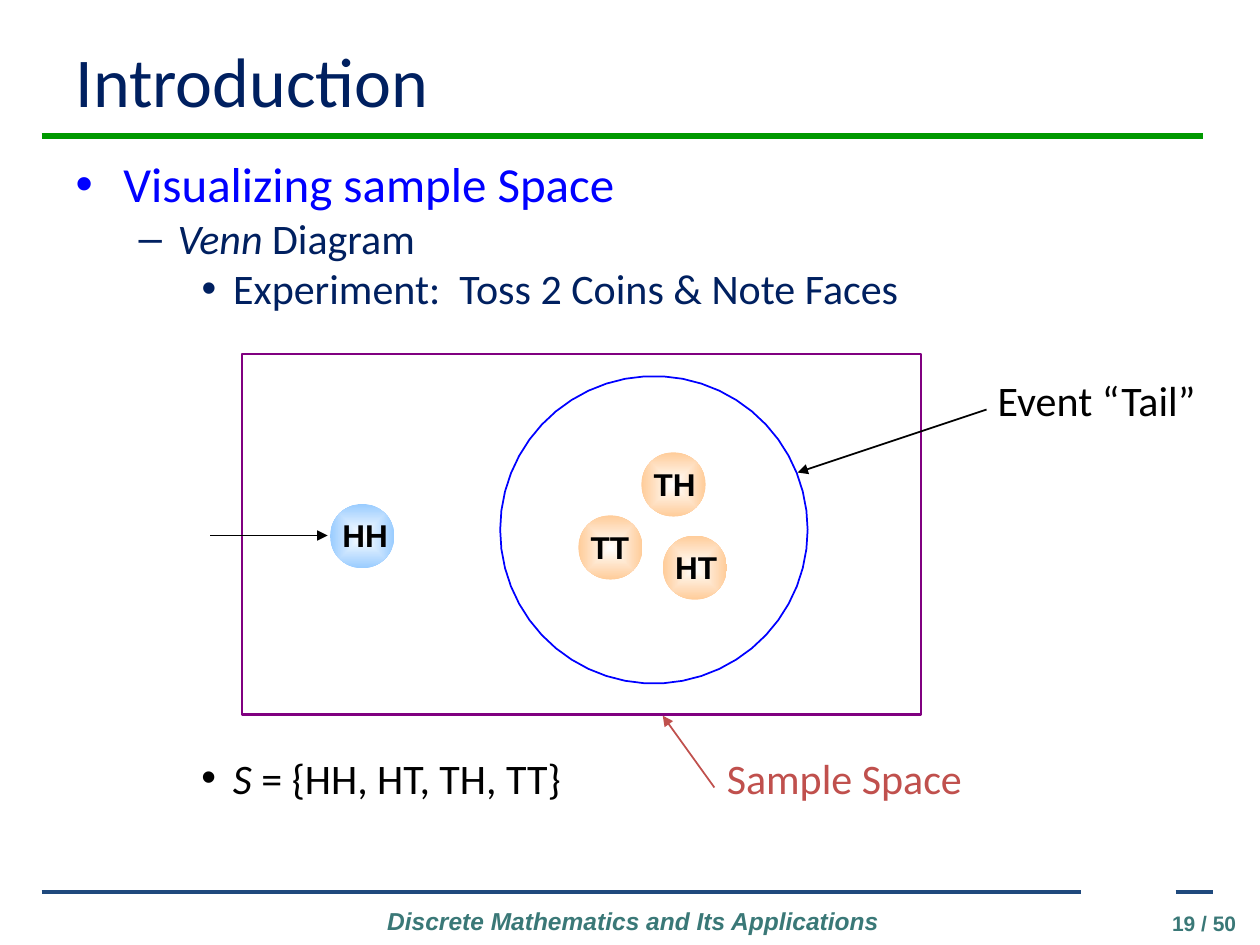
import math
from lxml import etree
from pptx import Presentation
from pptx.dml.color import RGBColor
from pptx.enum.shapes import MSO_CONNECTOR, MSO_SHAPE
from pptx.enum.text import MSO_ANCHOR, MSO_AUTO_SIZE, PP_ALIGN
from pptx.oxml.ns import qn
from pptx.util import Inches, Pt

STRAIGHT = MSO_CONNECTOR.STRAIGHT
RECTANGLE, OVAL = MSO_SHAPE.RECTANGLE, MSO_SHAPE.OVAL
LEFT, CENTER, RIGHT = PP_ALIGN.LEFT, PP_ALIGN.CENTER, PP_ALIGN.RIGHT
TOP, MIDDLE = MSO_ANCHOR.TOP, MSO_ANCHOR.MIDDLE
NO_AUTOSIZE = MSO_AUTO_SIZE.NONE

COLUMNS, ROWS = 100, 75
WIDTH, HEIGHT = Inches(10), Inches(7.5)
NAVY, BLUE, BLACK, RED = "002060", "0000FF", "000000", "C0504D"
GREEN, SLATE, TEAL, PURPLE = "009900", "1F497D", "3A7877", "800080"
ORANGE, SKY, WHITE = "FFCC99", "99CCFF", "FFFFFF"

LEVELS = [("•", 0.38, 0.38), ("–", 0.81, 0.31), ("•", 1.25, 0.25)]
TITLE = [dict(runs=[("Introduction", False)])]
OUTLINE = [
    dict(runs=[("Visualizing sample Space", False)], level=0, size=28, color=BLUE),
    dict(runs=[("Venn", True), (" Diagram", False)], level=1),
    dict(runs=[("Experiment:  Toss 2 Coins & Note Faces", False)], level=2),
]
SAMPLE_SET = [dict(runs=[("S", True), (" = {HH, HT, TH, TT}", False)], level=2)]

RULES = [
    (3.3, 95.5, 10.8, GREEN, 3),
    (3.3, 85.8, 70.8, SLATE, 2.25),
    (93.3, 96.3, 70.8, SLATE, 2.25),
]
ARROWS = [
    ((78.3, 32.5), (63.3, 37.5), BLACK),
    ((56.7, 62.5), (52.6, 56.8), RED),
    ((16.7, 42.5), (26, 42.5), BLACK),
]
LABELS = [
    ("Sample Space", (56.7, 59.2, 25.9, 5), dict(color=RED)),
    ("Event “Tail”", (78.2, 29.2, 18.4, 5), dict(color=BLACK, anchor=MIDDLE)),
    ("Discrete Mathematics and Its Applications", (28.3, 71.4, 43.9, 3.4),
     dict(size=14, font="Arial", color=TEAL, bold=True, italic=True, align=CENTER)),
    ("19 / 50", (88.9, 71.8, 10.2, 2.4),
     dict(size=12, font="Arial", color=TEAL, bold=True, align=RIGHT)),
]
OUTCOMES = [
    ("TH", 50.9, 35.9, ORANGE),
    ("HT", 52.6, 42.5, ORANGE),
    ("TT", 45.9, 40.9, ORANGE),
    ("HH", 26.2, 40, SKY),
]
COIN_SIZE = 5.1
EVENT_CENTER, EVENT_RADIUS, EVENT_SIDES = (51.9, 42.05), 12.2, 50


def rgb(color):
    return RGBColor.from_string(color)


def across(columns):
    return round(WIDTH * columns / COLUMNS)


def down(rows):
    return round(HEIGHT * rows / ROWS)


def box(left, top, width, height):
    return across(left), down(top), across(width), down(height)


def add_bullet(paragraph, level, color):
    mark, margin, hanging = LEVELS[level]
    paragraph.level = level
    properties = paragraph._p.get_or_add_pPr()
    properties.set("marL", str(Inches(margin)))
    properties.set("indent", str(-Inches(hanging)))
    bullet_color = etree.SubElement(properties, qn("a:buClr"))
    etree.SubElement(bullet_color, qn("a:srgbClr"), val=color)
    etree.SubElement(properties, qn("a:buFont"), typeface="Arial")
    etree.SubElement(properties, qn("a:buChar"), char=mark)


def write(shape, content, size=24, font="Calibri", color=NAVY, bold=False,
          italic=False, align=LEFT, anchor=TOP, wrap=True):
    if isinstance(content, str):
        content = [dict(runs=[(content, italic)])]
    frame = shape.text_frame
    frame.auto_size = NO_AUTOSIZE
    frame.word_wrap = wrap
    frame.vertical_anchor = anchor
    for index, item in enumerate(content):
        paragraph = frame.add_paragraph() if index else frame.paragraphs[0]
        item_color = item.get("color", color)
        if "level" in item:
            add_bullet(paragraph, item["level"], item_color)
        paragraph.alignment = align
        paragraph.space_before = Pt(0)
        for text, slanted in item["runs"]:
            run = paragraph.add_run()
            run.text = text
            run.font.name = font
            run.font.size = Pt(item.get("size", size))
            run.font.bold = bold
            run.font.italic = slanted
            run.font.color.rgb = rgb(item_color)


def add_text(shapes, content, place, **style):
    write(shapes.add_textbox(*box(*place)), content, **style)


def fill_placeholder(shape, content, place, **style):
    shape.left, shape.top, shape.width, shape.height = box(*place)
    write(shape, content, **style)


def add_line(shapes, start, end, color, width, arrow=False):
    connector = shapes.add_connector(STRAIGHT, across(start[0]), down(start[1]),
                                     across(end[0]), down(end[1]))
    connector.line.color.rgb = rgb(color)
    connector.line.width = Pt(width)
    properties = connector.element.spPr
    if arrow:
        etree.SubElement(properties.find(qn("a:ln")), qn("a:tailEnd"), type="triangle")
    etree.SubElement(properties, qn("a:effectLst"))


def outline(shape, color, width):
    shape.shadow.inherit = False
    shape.fill.background()
    shape.line.color.rgb = rgb(color)
    shape.line.width = Pt(width)


def add_event(shapes):
    points = []
    for step in range(EVENT_SIDES):
        angle = math.pi + 2 * math.pi * step / EVENT_SIDES
        points.append((across(EVENT_CENTER[0] + EVENT_RADIUS * math.cos(angle)),
                       down(EVENT_CENTER[1] + EVENT_RADIUS * math.sin(angle))))
    builder = shapes.build_freeform(*points[0])
    builder.add_line_segments(points[1:], close=True)
    outline(builder.convert_to_shape(), BLUE, 1)


def add_outcome(shapes, name, left, top, color):
    group = shapes.add_group_shape().shapes
    coin = group.add_shape(OVAL, *box(left, top, COIN_SIZE, COIN_SIZE))
    coin.shadow.inherit = False
    coin.line.fill.background()
    coin.fill.gradient()
    for stop, position, shade in zip(coin.fill.gradient_stops, (0, 1), (WHITE, color)):
        stop.position = position
        stop.color.rgb = rgb(shade)
    gradient = coin.element.spPr.find(qn("a:gradFill"))
    gradient.remove(gradient.find(qn("a:lin")))
    focus = etree.SubElement(gradient, qn("a:path"), path="rect")
    etree.SubElement(focus, qn("a:fillToRect"), {side: "50000" for side in "ltrb"})
    add_text(group, name, (left, top + 0.5, 5.3, 4), size=18, font="Arial",
             color=BLACK, bold=True, wrap=False)


def main():
    presentation = Presentation()
    presentation.slide_width, presentation.slide_height = WIDTH, HEIGHT
    slide = presentation.slides.add_slide(presentation.slide_layouts[1])
    shapes = slide.shapes
    for start, end, row, color, width in RULES:
        add_line(shapes, (start, row), (end, row), color, width)
    fill_placeholder(shapes.title, TITLE, (5, 2.5, 90, 7.7), size=40, anchor=MIDDLE)
    fill_placeholder(slide.placeholders[1], OUTLINE, (5, 11.7, 90, 13.7))
    add_event(shapes)
    outline(shapes.add_shape(RECTANGLE, *box(19.2, 28.1, 53.9, 28.6)), PURPLE, 1.5)
    for text, place, style in LABELS:
        add_text(shapes, text, place, **style)
    for start, end, color in ARROWS:
        add_line(shapes, start, end, color, 1, arrow=True)
    for outcome in OUTCOMES:
        add_outcome(shapes, *outcome)
    add_text(shapes, SAMPLE_SET, (5, 59.2, 90, 5), color=BLACK)
    presentation.save("out.pptx")


if __name__ == "__main__":
    main()
